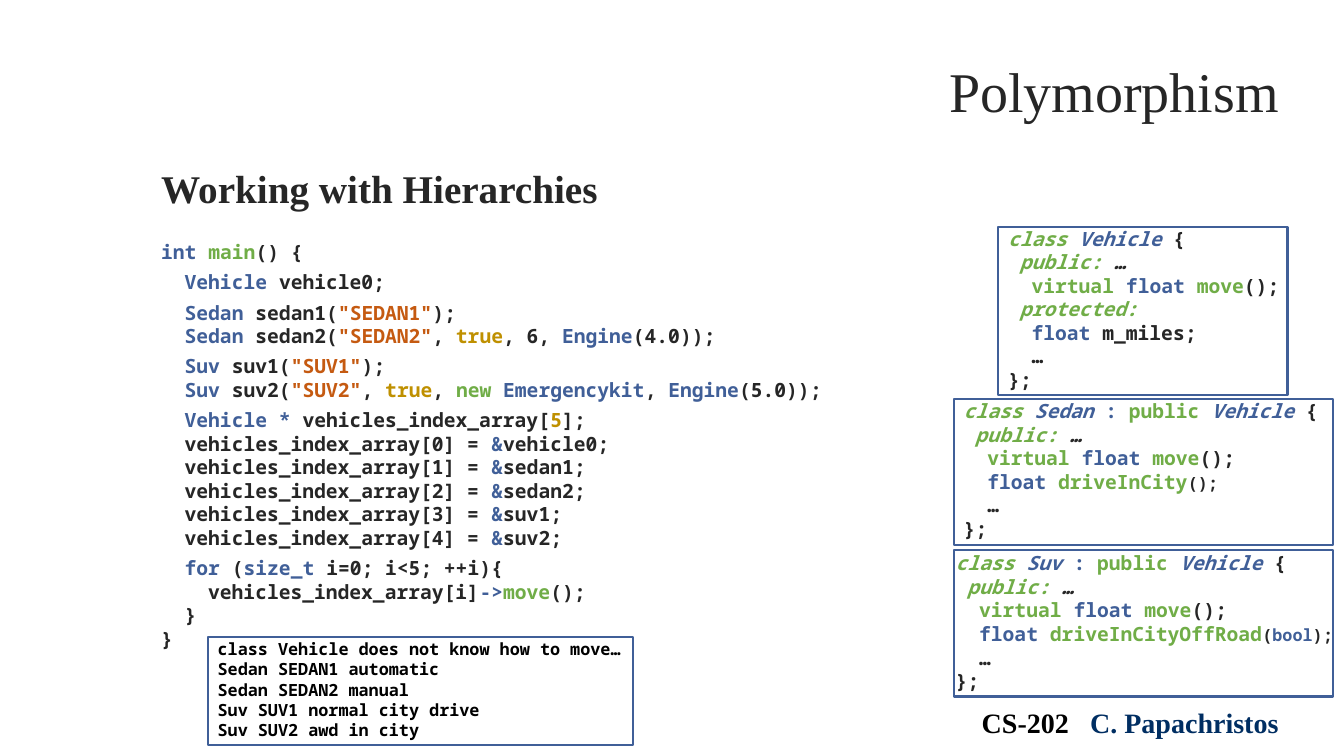
from dataclasses import dataclass
from functools import partial
from typing import NamedTuple

from pptx import Presentation
from pptx import util as u
from pptx.dml import color as clr
from pptx.enum import shapes, text


@dataclass(frozen=True)
class Theme:
    serif: str = "Times New Roman"
    mono: str = "Noto Sans Mono"
    ink: str = "262626"
    black: str = "000000"
    navy: str = "002E62"
    blue: str = "405F98"
    green: str = "70AD47"
    orange: str = "C55A11"
    gold: str = "BF9000"
    title_size: int = 40
    heading_size: int = 28
    footer_size: int = 20
    code_size: int = 14
    small_size: int = 12
    outline: float = 1.5
    mono_advance: float = 0.6  # character width as a share of the type size


THEME = Theme()


class Run(NamedTuple):
    text: str
    color: str = THEME.ink
    italic: bool = False
    size: int = THEME.code_size
    font: str = THEME.mono
    bold: bool = True


class Line(NamedTuple):
    runs: list[Run]
    indent: int = 0  # in characters
    before: float = 0  # in points


class Area(NamedTuple):
    left: float
    top: float
    width: float
    height: float


class Panel(NamedTuple):
    lines: list[Line]
    text_area: Area
    frame: Area


# Syntax colours
plain = Run
kind = partial(Run, color=THEME.blue)
word = partial(Run, color=THEME.green)
quoted = partial(Run, color=THEME.orange)
value = partial(Run, color=THEME.gold)
serif = partial(Run, font=THEME.serif)
small = partial(Run, size=THEME.small_size)

BLOCK_GAP = 4.8
HEADING_GAP = 20.5


def add_text(slide, area: Area, lines: list[Line], align=text.PP_ALIGN.LEFT,
             anchor=text.MSO_ANCHOR.TOP) -> None:
    frame = slide.shapes.add_textbox(*map(u.Inches, area)).text_frame
    frame.word_wrap = True
    frame.vertical_anchor = anchor
    for number, line in enumerate(lines):
        paragraph = frame.add_paragraph() if number else frame.paragraphs[0]
        paragraph.alignment = align
        paragraph.space_before = u.Pt(line.before)
        if line.indent:
            margin = u.Pt(line.indent * THEME.code_size * THEME.mono_advance)
            paragraph._p.get_or_add_pPr().set("marL", str(int(margin)))
        for piece in line.runs:
            run = paragraph.add_run()
            run.text = piece.text
            look = {"name": piece.font, "size": u.Pt(piece.size),
                    "bold": piece.bold, "italic": piece.italic}
            for attribute, setting in look.items():
                setattr(run.font, attribute, setting)
            run.font.color.rgb = clr.RGBColor.from_string(piece.color)


def add_frame(slide, area: Area) -> None:
    box = slide.shapes.add_shape(shapes.MSO_SHAPE.RECTANGLE, *map(u.Inches, area))
    box.shadow.inherit = False
    box.fill.background()
    box.line.color.rgb = clr.RGBColor.from_string(THEME.blue)
    box.line.width = u.Pt(THEME.outline)


def declare(type_name: str, variable: str, label: str, *rest: Run, before: float = 0) -> Line:
    """A variable built from a quoted label and further arguments."""
    return Line([kind(type_name), plain(f" {variable}("), quoted(f'"{label}"'), *rest], 2, before)


def class_lines(name: str, *members: Line, derived: bool = True) -> list[Line]:
    """A class listing with its public virtual move()."""
    base = [kind(": "), word("public"), kind(" Vehicle ", italic=True)] if derived else []
    return [
        Line([word("class ", italic=True), kind(f"{name} ", italic=True), *base, plain("{")]),
        Line([word("public: ", italic=True), plain("…", italic=True)], 1),
        Line([word("virtual "), kind("float "), word("move"), plain("();")], 2),
        *members,
        Line([plain("…")], 2),
        Line([plain("};")]),
    ]


# Main program
vehicles = ["vehicle0", "sedan1", "sedan2", "suv1", "suv2"]
PROGRAM = [
    Line([serif("Working with Hierarchies", size=THEME.heading_size)]),
    Line([kind("int "), word("main"), plain("() {")], before=HEADING_GAP),
    Line([kind("Vehicle"), plain(" vehicle0;")], 2, BLOCK_GAP),
    declare("Sedan", "sedan1", "SEDAN1", plain(");"), before=BLOCK_GAP),
    declare("Sedan", "sedan2", "SEDAN2", plain(", "), value("true"), plain(", 6, "),
            kind("Engine"), plain("(4.0));")),
    declare("Suv", "suv1", "SUV1", plain(");"), before=BLOCK_GAP),
    declare("Suv", "suv2", "SUV2", plain(", "), value("true"), plain(", "), word("new "),
            kind("Emergencykit"), plain(", "), kind("Engine"), plain("(5.0));")),
    Line([kind("Vehicle * "), plain("vehicles_index_array["), value("5"), plain("];")],
         2, BLOCK_GAP),
    *(Line([plain(f"vehicles_index_array[{index}] = "), kind("&"), plain(f"{vehicle};")], 2)
      for index, vehicle in enumerate(vehicles)),
    Line([kind("for"), plain(" ("), kind("size_t "), plain("i=0; i<5; ++i){")], 2, BLOCK_GAP),
    Line([plain("vehicles_index_array[i]"), kind("->"), word("move"), plain("();")], 4),
    Line([plain("}")], 2),
    Line([plain("}")]),
]

# Class listings and console output
SUV = class_lines("Suv", Line([
    kind("float "), word("driveInCityOffRoad"), small("("),
    small("bool", color=THEME.blue), small(");")], 2))
SEDAN = class_lines("Sedan", Line([kind("float "), word("driveInCity"), small("();")], 2))
VEHICLE = class_lines(
    "Vehicle",
    Line([word("protected:", italic=True)], 1),
    Line([kind("float "), plain("m_miles;")], 2),
    derived=False)
CONSOLE = [Line([small(output, color=THEME.black)]) for output in (
    "class Vehicle does not know how to move…",
    "Sedan SEDAN1 automatic",
    "Sedan SEDAN2 manual",
    "Suv SUV1 normal city drive",
    "Suv SUV2 awd in city")]

PANELS = [
    Panel(SUV, Area(9.38, 5.42, 3.95, 1.51), Area(9.46, 5.46, 3.76, 1.45)),
    Panel(SEDAN, Area(9.46, 3.91, 3.85, 1.51), Area(9.46, 3.96, 3.76, 1.45)),
    Panel(CONSOLE, Area(2.06, 6.29, 4.41, 1.11), Area(2.06, 6.32, 4.22, 1.07)),
    Panel(VEHICLE, Area(9.9, 2.2, 2.98, 1.75), Area(9.9, 2.25, 2.87, 1.67)),
]


def main() -> None:
    deck = Presentation()
    deck.slide_width, deck.slide_height = u.Inches(13.33), u.Inches(7.5)
    slide = deck.slides.add_slide(deck.slide_layouts[6])

    # Footer, program and title
    footer = partial(serif, size=THEME.footer_size)
    add_text(slide, Area(9.49, 6.95, 3.44, 0.44),
             [Line([footer("CS-202   ", color=THEME.black),
                    footer("C. Papachristos", color=THEME.navy)])],
             align=text.PP_ALIGN.CENTER)
    add_text(slide, Area(1.5, 1.58, 10.52, 5.24), PROGRAM)
    add_text(slide, Area(1.06, 0.57, 11.72, 0.71),
             [Line([serif("Polymorphism", size=THEME.title_size, bold=False)])],
             align=text.PP_ALIGN.RIGHT, anchor=text.MSO_ANCHOR.BOTTOM)

    # Framed panels
    for panel in PANELS:
        add_text(slide, panel.text_area, panel.lines)
        add_frame(slide, panel.frame)

    deck.save("out.pptx")


if __name__ == "__main__":
    main()
